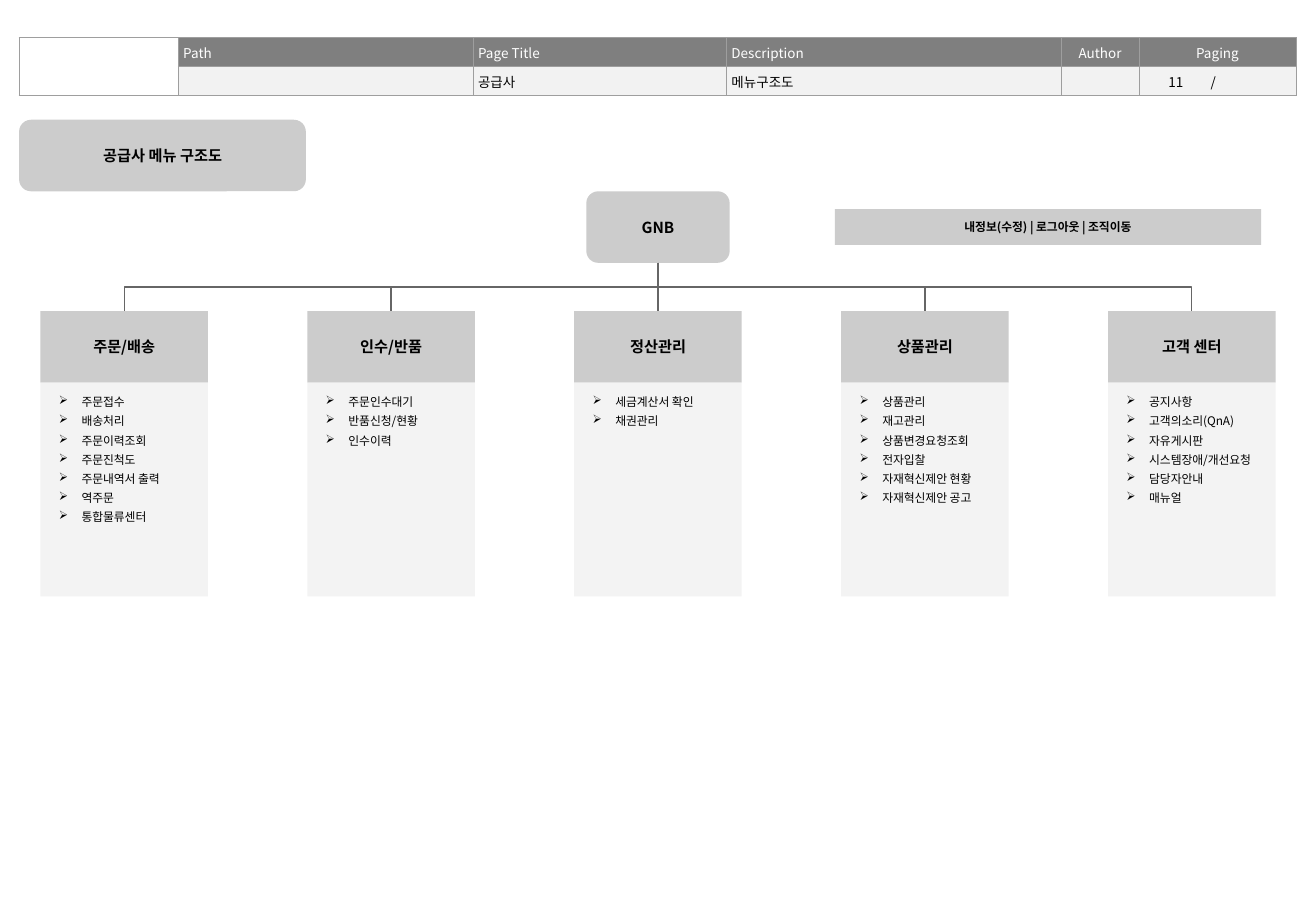
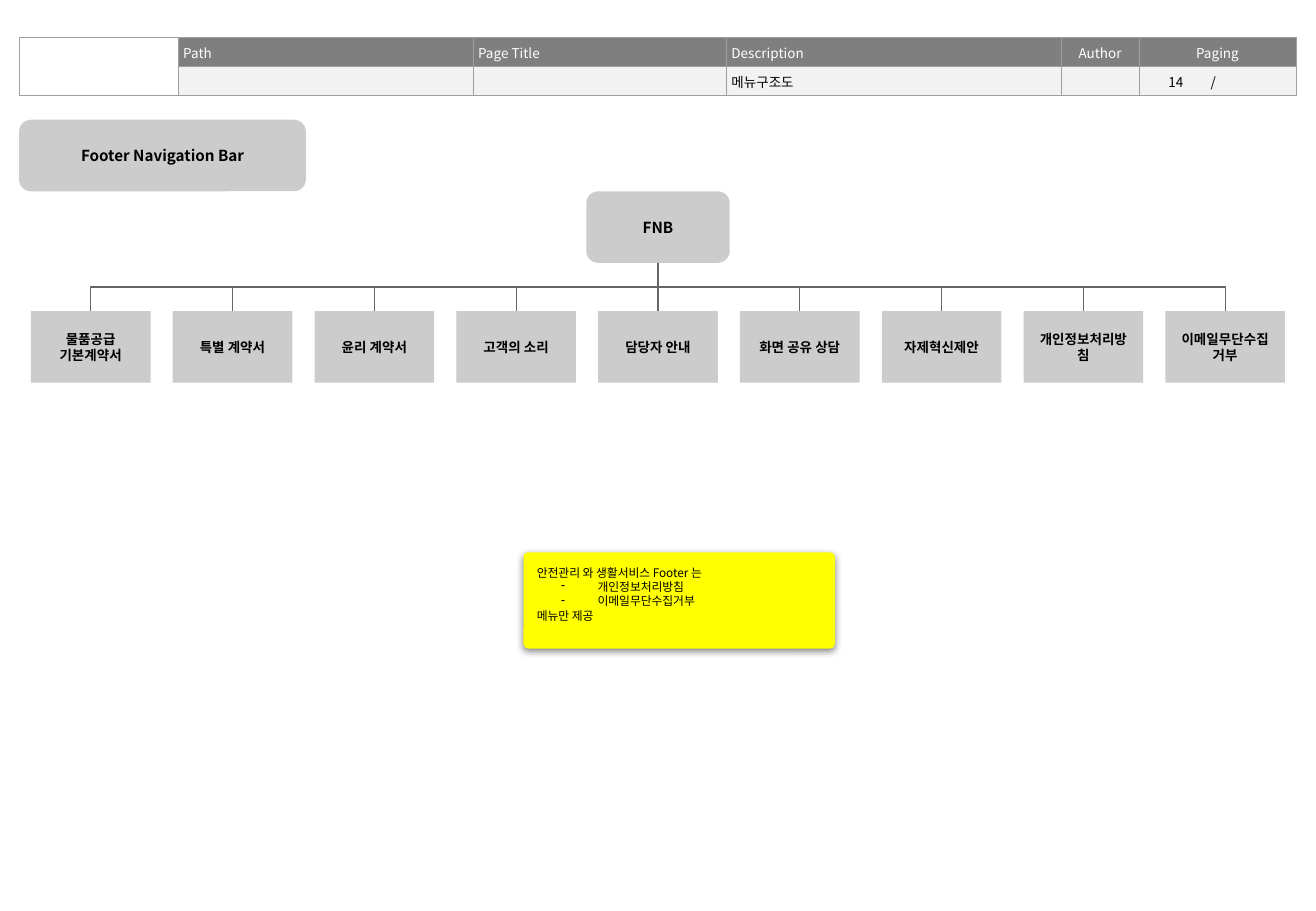
from lxml import etree
from pptx import Presentation
from pptx.dml.color import RGBColor
from pptx.enum import shapes, text
from pptx.oxml import ns
from pptx.util import Pt

FONT = "Noto Sans CJK KR"
COLORS = {
    "ink": "000000", "white": "FFFFFF", "head": "7F7F7F", "cell": "F2F2F2",
    "box": "CCCCCC", "list": "F3F3F3", "line": "666666", "border": "9E9E9E",
    "note": "FFFF00",
}
LEFT, CENTER, RIGHT = text.PP_ALIGN.LEFT, text.PP_ALIGN.CENTER, text.PP_ALIGN.RIGHT
RECT, ROUND = shapes.MSO_SHAPE.RECTANGLE, shapes.MSO_SHAPE.ROUNDED_RECTANGLE

WIDTH, HEIGHT = 780, 540
MIDDLE = WIDTH / 2
MARGIN, INSET = 11.3, 7.2
BOX_H, TITLE_TOP, ROOT_TOP, BRANCH_TOP, LIST_H = 42.4, 71, 113.4, 184.4, 126.8
HEADER_COLS = [94.5, 174.8, 150.2, 198.2, 46.2, 29, 30, 34.1]
HEADER_ROW, HEADER_TOP = 17.2, 22.3
HEADER_LABELS = ["", "Path", "Page Title", "Description", "Author", "Paging", "", ""]
HEADER_ALIGN = [
    [LEFT, LEFT, LEFT, LEFT, CENTER, CENTER, LEFT, LEFT],
    [LEFT, LEFT, LEFT, LEFT, LEFT, RIGHT, CENTER, LEFT],
]

SUPPLIER = {
    "header": ["", "", "공급사", "메뉴구조도", "", "11", "/", ""],
    "title": "공급사 메뉴 구조도",
    "root": "GNB",
    "branch": {"width": 99.3, "pitch": 158.2, "size": 9},
    "menus": [
        ("주문/배송", ["주문접수", "배송처리", "주문이력조회", "주문진척도",
                   "주문내역서 출력", "역주문", "통합물류센터"]),
        ("인수/반품", ["주문인수대기", "반품신청/현황", "인수이력"]),
        ("정산관리", ["세금계산서 확인", "채권관리"]),
        ("상품관리", ["상품관리", "재고관리", "상품변경요청조회", "전자입찰",
                  "자재혁신제안 현황", "자재혁신제안 공고"]),
        ("고객 센터", ["공지사항", "고객의소리(QnA)", "자유게시판",
                   "시스템장애/개선요청", "담당자안내", "매뉴얼"]),
    ],
}
FOOTER = {
    "header": ["", "", "", "메뉴구조도", "", "14", "/", ""],
    "title": "Footer Navigation Bar",
    "root": "FNB",
    "branch": {"width": 70.9, "pitch": 84.05, "size": 8},
    "menus": [(name, []) for name in [
        "물품공급 기본계약서", "특별 계약서", "윤리 계약서", "고객의 소리", "담당자 안내",
        "화면 공유 상담", "자제혁신제안", "개인정보처리방침", "이메일무단수집거부"]],
}
UTILITY = "내정보(수정) | 로그아웃 | 조직이동"
NOTE = [
    ("안전관리 와 생활서비스 Footer 는", None),
    ("개인정보처리방침", "-"),
    ("이메일무단수집거부", "-"),
    ("메뉴만 제공", None),
]
BULLET_INDENTS = {"➢": (17.3, -13.5), "-": (36, -21.6)}


def rgb(name):
    return RGBColor.from_string(COLORS[name])


def child(parent, tag, **attributes):
    return etree.SubElement(parent, ns.qn(tag), {k: str(v) for k, v in attributes.items()})


def add_span(para, words, size, color="ink", bold=False):
    span = para.add_run()
    span.text = words
    span.font.size, span.font.bold, span.font.name = Pt(size), bold, FONT
    span.font.color.rgb = rgb(color)
    child(span.font._element, "a:ea", typeface=FONT)


def add_bullet(para, mark):
    margin, indent = BULLET_INDENTS[mark]
    props = para._p.get_or_add_pPr()
    props.set("marL", str(Pt(margin)))
    props.set("indent", str(Pt(indent)))
    child(child(props, "a:buClr"), "a:srgbClr", val=COLORS["ink"])
    child(props, "a:buChar", char=mark)


def add_box(page, at, lines, size, kind=RECT, fill="box", bold=True, align=CENTER,
            anchor=text.MSO_ANCHOR.MIDDLE, gap=0):
    box = page.shapes.add_shape(kind, *map(Pt, at))
    box.shadow.inherit = False
    box.fill.solid()
    box.fill.fore_color.rgb = rgb(fill)
    box.line.fill.background()
    frame = box.text_frame
    frame.word_wrap, frame.vertical_anchor = True, anchor
    frame.margin_left = frame.margin_right = frame.margin_top = frame.margin_bottom = Pt(INSET)
    for i, (words, mark) in enumerate(lines):
        para = frame.add_paragraph() if i else frame.paragraphs[0]
        para.alignment = align
        if i and gap:
            para.space_before = Pt(gap)
        if mark:
            add_bullet(para, mark)
        add_span(para, words, size, bold=bold)
    return box


def add_border(cell, sides, visible):
    props = cell._tc.get_or_add_tcPr()
    for side in sides:
        line = child(props, f"a:ln{side}", w=Pt(0.75))
        if side in visible:
            child(child(line, "a:solidFill"), "a:srgbClr", val=COLORS["border"])
        else:
            child(line, "a:noFill")


def add_header(page, values):
    table = page.shapes.add_table(2, len(HEADER_COLS), Pt(MARGIN), Pt(HEADER_TOP),
                                  Pt(sum(HEADER_COLS)), Pt(2 * HEADER_ROW)).table
    table.first_row = table.horz_banding = False
    for column, width in zip(table.columns, HEADER_COLS):
        column.width = Pt(width)
    for r, labels in enumerate([HEADER_LABELS, values]):
        table.rows[r].height = Pt(HEADER_ROW)
        for c, words in enumerate(labels):
            cell = table.cell(r, c)
            cell.vertical_anchor = text.MSO_ANCHOR.MIDDLE
            cell.margin_left = cell.margin_right = Pt(2.8)
            cell.margin_top = cell.margin_bottom = Pt(2.8)
            hidden = {5: "R", 6: "LR", 7: "L"}.get(c, "") if r else ""
            add_border(cell, "LRTB", set("LRTB") - set(hidden))
            cell.fill.solid()
            cell.fill.fore_color.rgb = rgb("white" if c == 0 else ("head", "cell")[r])
            para = cell.text_frame.paragraphs[0]
            para.alignment = HEADER_ALIGN[r][c]
            if words:
                add_span(para, words, 8, ("white", "ink")[r])
            else:
                child(para._p, "a:endParaRPr", sz=800)
    table.cell(0, 0).merge(table.cell(1, 0))
    table.cell(0, 5).merge(table.cell(0, 7))


def connect(page, root, branch, offset):
    kind = shapes.MSO_CONNECTOR.ELBOW if offset else shapes.MSO_CONNECTOR.STRAIGHT
    link = page.shapes.add_connector(kind, 0, 0, 0, 0)
    link.begin_connect(root, 2)
    link.end_connect(branch, 0)
    link.line.color.rgb = rgb("line")
    link.line.width = Pt(0.75)
    child(link._element.spPr, "a:effectLst")
    if offset:
        run, drop = abs(offset), BRANCH_TOP - ROOT_TOP - BOX_H
        link.left = Pt(MIDDLE + offset / 2 - drop / 2)
        link.top = Pt(ROOT_TOP + BOX_H + drop / 2 - run / 2)
        link.width, link.height = Pt(drop), Pt(run)
        frame = link._element.spPr.find(ns.qn("a:xfrm"))
        for flip in ("flipH", "flipV"):
            frame.attrib.pop(flip, None)
        frame.set("rot", str((90 if offset < 0 else 270) * 60000))
        if offset > 0:
            frame.set("flipH", "1")


def add_menu_page(deck, content):
    page = deck.slides.add_slide(deck.slide_layouts[6])
    add_header(page, content["header"])
    add_box(page, (MARGIN, TITLE_TOP, 170, BOX_H), [(content["title"], None)], 9, ROUND)
    root = add_box(page, (MIDDLE - 42.5, ROOT_TOP, 85, BOX_H), [(content["root"], None)], 9, ROUND)
    width, pitch, size = content["branch"].values()
    for i, (name, items) in enumerate(content["menus"]):
        offset = (i - (len(content["menus"]) - 1) / 2) * pitch
        left = MIDDLE + offset - width / 2
        branch = add_box(page, (left, BRANCH_TOP, width, BOX_H), [(name, None)], size)
        if items:
            add_box(page, (left, BRANCH_TOP + BOX_H, width, LIST_H),
                    [(item, "➢") for item in items], 7, fill="list", bold=False,
                    align=LEFT, anchor=text.MSO_ANCHOR.TOP, gap=3)
        connect(page, root, branch, offset)
    return page


def add_note(page):
    note = add_box(page, (310.3, 327.4, 184.5, 57), NOTE, 7, ROUND, "note", False,
                   LEFT, text.MSO_ANCHOR.TOP)
    note.adjustments[0] = 0.05
    effects = note._element.spPr.find(ns.qn("a:effectLst"))
    shadow = child(effects, "a:outerShdw", blurRad=Pt(4.5), dist=Pt(1.5),
                   dir=90 * 60000, algn="bl", rotWithShape=0)
    child(child(shadow, "a:srgbClr", val=COLORS["ink"]), "a:alpha", val=50000)


def main():
    deck = Presentation()
    deck.slide_width, deck.slide_height = Pt(WIDTH), Pt(HEIGHT)
    supplier = add_menu_page(deck, SUPPLIER)
    add_box(supplier, (494.8, 123.9, 252.7, 21.3), [(UTILITY, None)], 7)
    add_note(add_menu_page(deck, FOOTER))
    deck.save("out.pptx")


if __name__ == "__main__":
    main()
